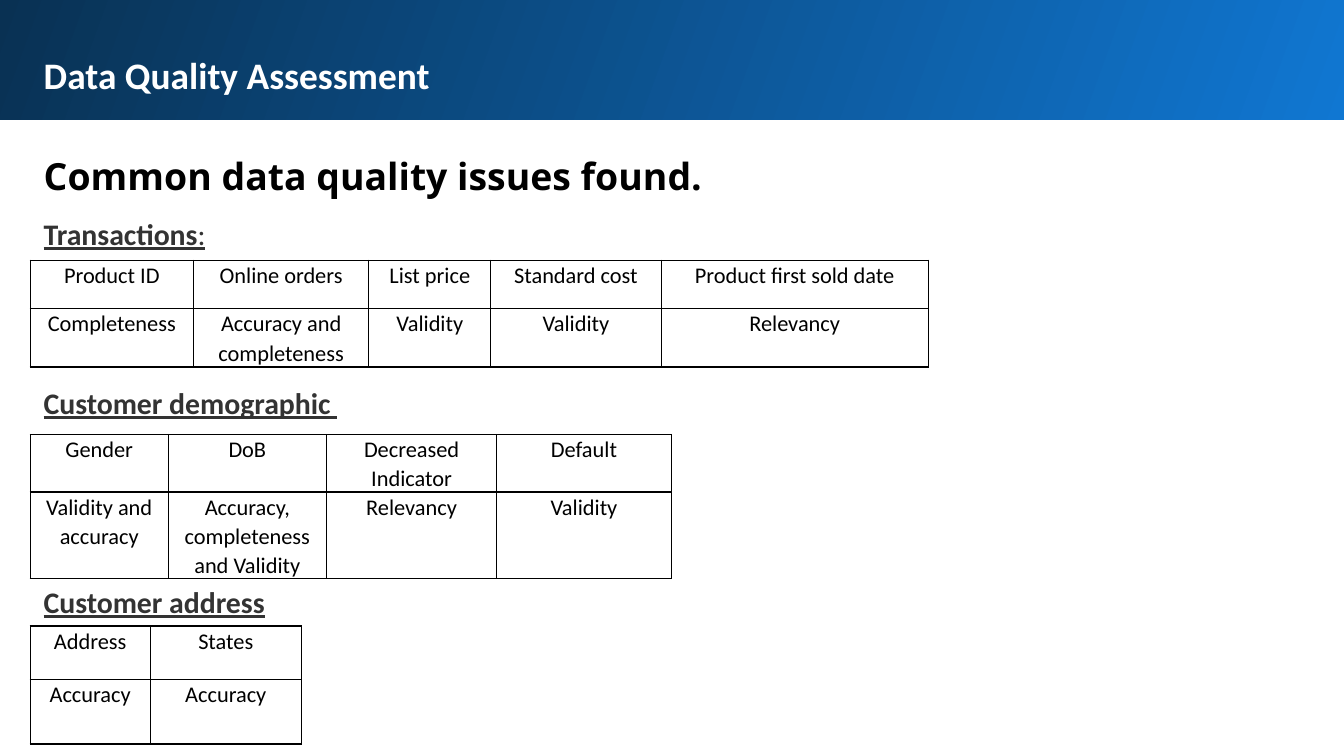
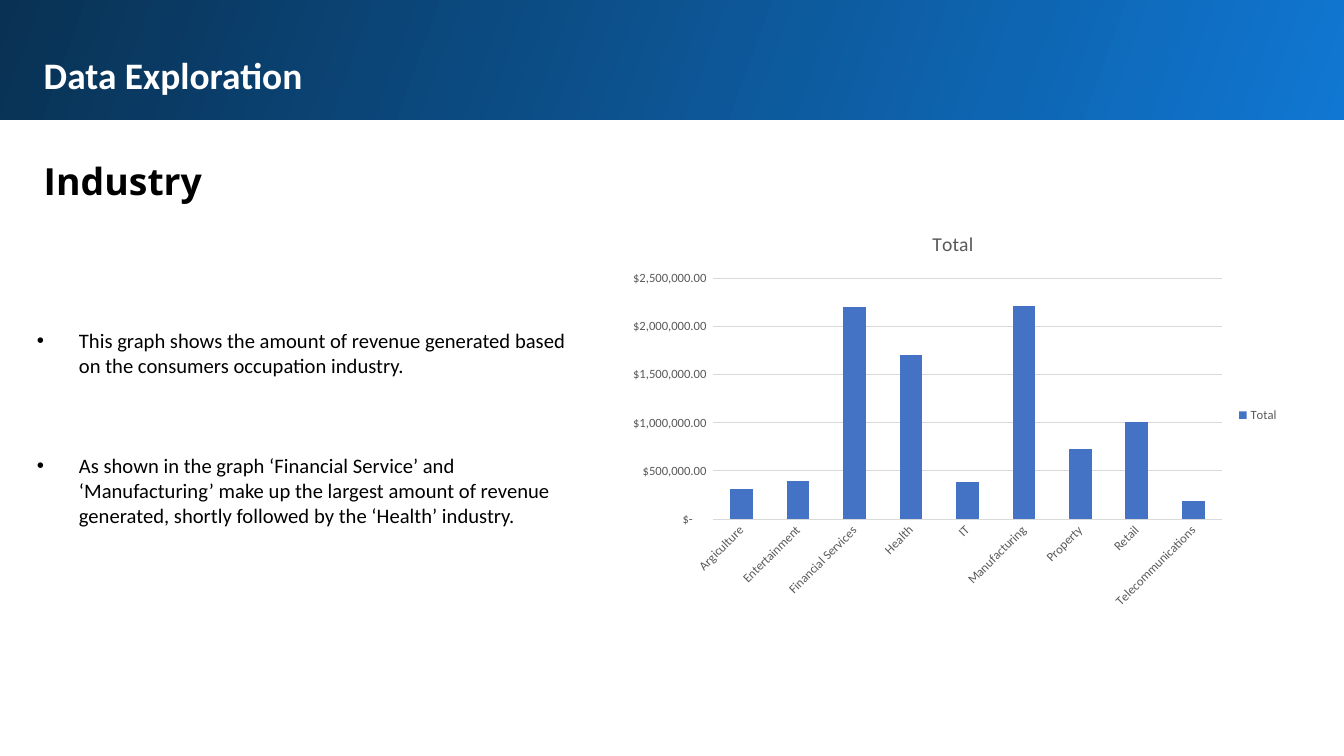
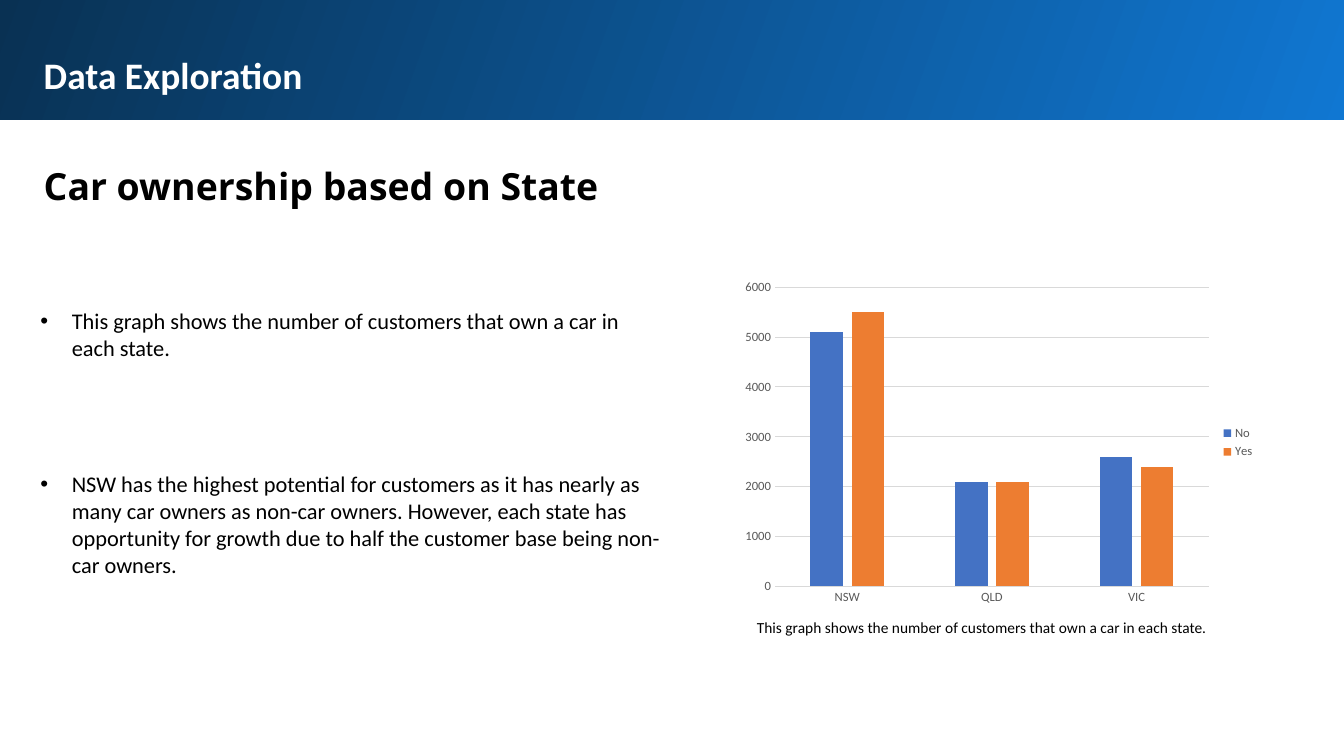
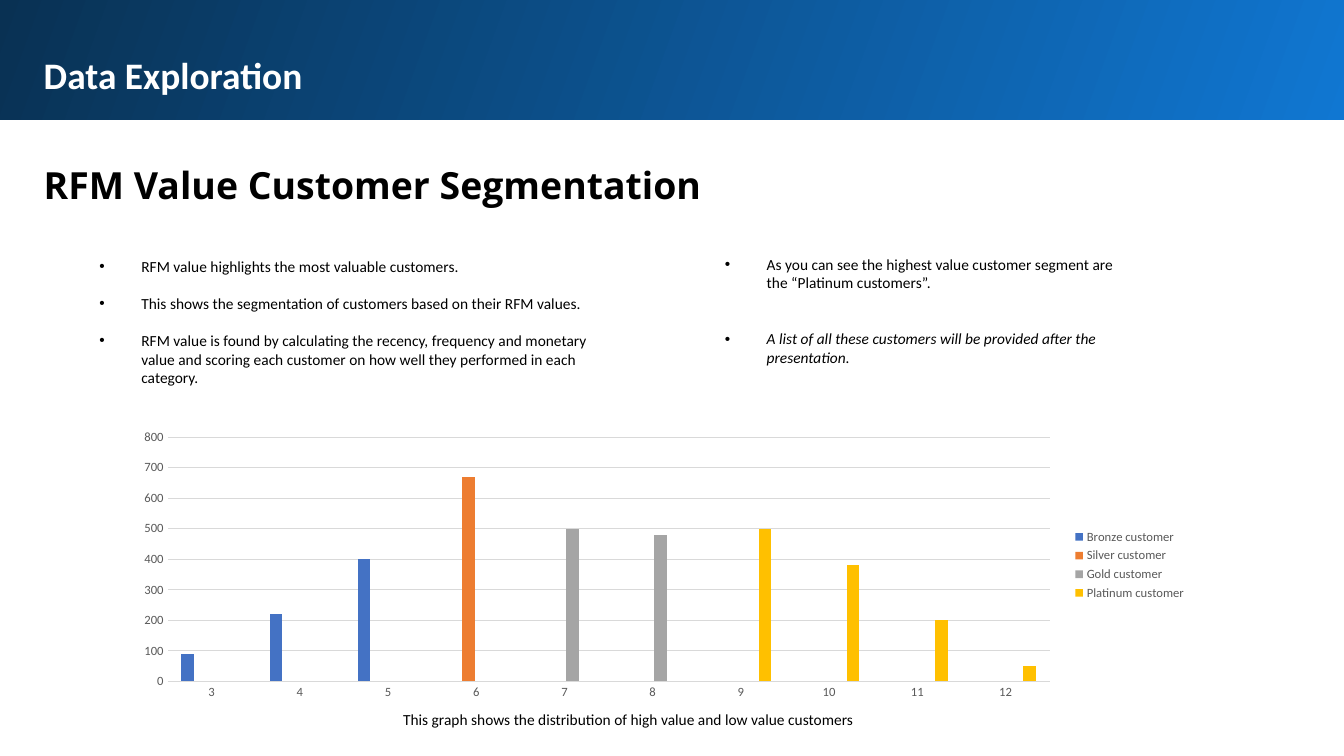
"""Builds a four-slide deck on data quality and data exploration."""
from lxml import etree
from pptx import Presentation
from pptx.chart.data import CategoryChartData
from pptx.dml.color import RGBColor
from pptx.enum.chart import XL_CHART_TYPE, XL_LEGEND_POSITION, XL_TICK_MARK
from pptx.enum.shapes import MSO_SHAPE
from pptx.enum.text import MSO_ANCHOR, MSO_AUTO_SIZE, PP_ALIGN
from pptx.oxml.ns import qn
from pptx.util import Pt

STACKED, CLUSTERED = XL_CHART_TYPE.COLUMN_STACKED, XL_CHART_TYPE.COLUMN_CLUSTERED
LEGEND_RIGHT, NO_TICK = XL_LEGEND_POSITION.RIGHT, XL_TICK_MARK.NONE
RECTANGLE = MSO_SHAPE.RECTANGLE
TOP, MIDDLE = MSO_ANCHOR.TOP, MSO_ANCHOR.MIDDLE
GROW = MSO_AUTO_SIZE.SHAPE_TO_FIT_TEXT
LEFT, CENTER = PP_ALIGN.LEFT, PP_ALIGN.CENTER

COLORS = {
    "band_light": "1077D2", "band_dark": "093153", "white": "FFFFFF",
    "black": "000000", "caption": "333333", "axis": "595959", "grid": "D9D9D9",
    "blue": "4472C4", "orange": "ED7D31", "gray": "A5A5A5", "gold": "FFC000",
}
BODY_FONT, HEADING_FONT = "Calibri", "Open Sans"
MARGIN = 21.6
LINE_HEIGHT = 1.22
DOLLARS = ('_-[$$-409]* #,##0.00_ ;_-[$$-409]* \\-#,##0.00\\ ;'
           '_-[$$-409]* "-"??_ ;_-@_ ')

ISSUES = [
    {"caption": "Transactions", "suffix": ":", "caption_top": 149, "caption_width": 152.6,
     "top": 185.8, "columns": [116.6, 125.3, 87.1, 121.7, 190.8], "rows": [34.6, 41.8],
     "cells": [
         ["Product ID", "Online orders", "List price", "Standard cost",
          "Product first sold date"],
         ["Completeness", "Accuracy and completeness", "Validity", "Validity",
          "Relevancy"]]},
    {"caption": "Customer demographic ", "suffix": "", "caption_top": 270,
     "caption_width": 458.6,
     "top": 310.3, "columns": [98.6, 113, 121.7, 124.6], "rows": [40.3, 60.5],
     "cells": [
         ["Gender", "DoB", "Decreased Indicator", "Default"],
         ["Validity and accuracy", "Accuracy, completeness and Validity", "Relevancy",
          "Validity"]]},
    {"caption": "Customer address", "suffix": "", "caption_top": 411.8,
     "caption_width": 458.6,
     "top": 447.1, "columns": [85.7, 108], "rows": [38.2, 46.1],
     "cells": [["Address", "States"], ["Accuracy", "Accuracy"]]},
]

SLIDES = [
    {"layout": 5, "title": "Data Quality Assessment",
     "heading": "Common data quality issues found.", "heading_top": 95,
     "heading_width": 899.3, "issues": ISSUES},
    {"layout": 1, "title": "Data Exploration", "heading": "Industry",
     "heading_top": 98.6, "heading_width": 899.3,
     "lists": [
         {"box": (MARGIN, 229.7, 396, 151.9), "insets": (4.8, 4.8), "size": 14.7,
          "indent": 30, "gap_lines": 3, "items": [
              "This graph shows the amount of revenue generated based on the consumers "
              "occupation industry.",
              "As shown in the graph ‘Financial Service’ and ‘Manufacturing’ make up the "
              "largest amount of revenue generated, shortly followed by the ‘Health’ "
              "industry."]}],
     "chart": {
         "kind": STACKED, "box": (440.6, 152.6, 480.2, 288), "title": "Total",
         "gap": 150, "overlap": 100, "top": 2500000, "step": 500000,
         "format": DOLLARS, "slanted": True,
         "categories": ["Argiculture", "Entertainment", "Financial Services", "Health",
                        "IT", "Manufacturing", "Property", "Retail",
                        "Telecommunications"],
         "series": [("Total", "blue", [310000, 400000, 2200000, 1700000, 380000,
                                       2210000, 730000, 1010000, 190000])]}},
    {"layout": 1, "title": "Data Exploration", "heading": "Car ownership based on State",
     "heading_top": 102.2, "heading_width": 534.2,
     "lists": [
         {"box": (MARGIN, 216, 458.6, 200.9), "insets": (7.2, 3.6), "size": 16,
          "indent": 22.5, "gap_lines": 4, "items": [
              "This graph shows the number of customers that own a car in each state.",
              "NSW has the highest potential for customers as it has nearly as many car "
              "owners as non-car owners. However, each state has opportunity for growth "
              "due to half the customer base being non-car owners."]}],
     "chart": {
         "kind": CLUSTERED, "box": (524.9, 195.1, 378.7, 241.9),
         "gap": 219, "overlap": -27, "top": 6000, "step": 1000,
         "categories": ["NSW", "QLD", "VIC"],
         "series": [("No", "blue", [5100, 2100, 2600]),
                    ("Yes", "orange", [5500, 2100, 2400])]},
     "note": ("This graph shows the number of customers that own a car in each state.",
              (533.5, 437.8, 337.7, 20.9))},
    {"layout": 3, "title": "Data Exploration",
     "heading": "RFM Value Customer Segmentation",
     "heading_top": 101.5, "heading_width": 534.2,
     "lists": [
         {"box": (66.2, 178.6, 383.8, 129.6), "insets": (4.8, 4.8), "size": 11,
          "indent": 30, "gap_lines": 1, "items": [
              "RFM value highlights the most valuable customers.",
              "This shows the segmentation of customers based on their RFM values.",
              "RFM value is found by calculating the recency, frequency and monetary "
              "value and scoring each customer on how well they performed in each "
              "category."]},
         {"box": (510.5, 178.6, 307.4, 87.1), "insets": (7.2, 3.6), "size": 11,
          "indent": 30, "gap_lines": 2, "italic_last": True, "items": [
              "As you can see the highest value customer segment are the “Platinum "
              "customers”.",
              "A list of all these customers will be provided after the presentation."]}],
     "chart": {
         "kind": CLUSTERED, "box": (87.8, 303.1, 766.8, 200.9),
         "gap": 219, "overlap": -27, "top": 800, "step": 100,
         "categories": [str(score) for score in range(3, 13)],
         "series": [
             ("Bronze customer", "blue", [90, 220, 400] + [None] * 7),
             ("Silver customer", "orange", [None] * 3 + [670] + [None] * 6),
             ("Gold customer", "gray", [None] * 4 + [500, 480] + [None] * 4),
             ("Platinum customer", "gold", [None] * 6 + [500, 380, 200, 50])]},
     "note": ("This graph shows the distribution of high value and low value customers",
              (280.8, 504, 337.7, 20.9))},
]


def rgb(name):
    return RGBColor.from_string(COLORS[name])


def style_font(font, size, color, name=BODY_FONT, bold=False):
    font.size, font.name, font.bold = Pt(size), name, bold
    font.color.rgb = rgb(color)


def place(shape, box):
    shape.left, shape.top, shape.width, shape.height = map(Pt, box)


def write(shape, text, size, color, name=BODY_FONT, bold=False, insets=(7.2, 3.6),
          anchor=TOP):
    frame = shape.text_frame
    frame.text = text
    frame.word_wrap, frame.auto_size, frame.vertical_anchor = True, GROW, anchor
    frame.margin_left = frame.margin_right = Pt(insets[0])
    frame.margin_top = frame.margin_bottom = Pt(insets[1])
    for paragraph in frame.paragraphs:
        paragraph.alignment = LEFT
        for run in paragraph.runs:
            style_font(run.font, size, color, name, bold)
    return frame


def add_text(slide, box, *args, **kwargs):
    return write(slide.shapes.add_textbox(*map(Pt, box)), *args, **kwargs)


def add_header(slide, content):
    title = slide.shapes.title
    band = slide.shapes.add_shape(RECTANGLE, *map(Pt, (-1.4, -2.2, 964.8, 87.8)))
    band.shadow.inherit = False
    band.line.fill.background()
    band.fill.gradient()
    band.fill.gradient_angle = 160
    for stop, color in zip(band.fill.gradient_stops, ("band_light", "band_dark")):
        stop.color.rgb = rgb(color)
    title.element.addprevious(band.element)
    place(title, (MARGIN, 27.4, 899.3, 51.8))
    write(title, content["title"], 26.7, "white", bold=True, insets=(9.6, 9.6))
    box = (MARGIN, content["heading_top"], content["heading_width"], 54)
    heading = add_text(slide, box, content["heading"], 26.7, "black", HEADING_FONT, True,
                       (9.6, 9.6))
    heading.paragraphs[0].line_spacing = 1.15


def fill_list(body, content):
    place(body, content["box"])
    size, indent = content["size"], Pt(content["indent"])
    frame = write(body, "\n".join(content["items"]), size, "black",
                  insets=content["insets"])
    for index, paragraph in enumerate(frame.paragraphs):
        gap = content["gap_lines"] * size * LINE_HEIGHT if index else 0
        paragraph.space_before = Pt(round(gap, 1))
        properties = paragraph._p.get_or_add_pPr()
        properties.set("marL", str(indent))
        properties.set("indent", str(-indent))
    if content.get("italic_last"):
        frame.paragraphs[-1].runs[0].font.italic = True


def add_borders(cell):
    properties = cell._tc.get_or_add_tcPr()
    for side in ("a:lnL", "a:lnR", "a:lnT", "a:lnB"):
        line = etree.SubElement(properties, qn(side), w=str(Pt(1)))
        fill = etree.SubElement(line, qn("a:solidFill"))
        etree.SubElement(fill, qn("a:srgbClr"), val=COLORS["black"])


def add_issue(slide, issue):
    box = (MARGIN, issue["caption_top"], issue["caption_width"], 35.3)
    caption = add_text(slide, box, issue["caption"], 21.3, "caption", bold=True,
                       insets=(9.6, 4.8), anchor=MIDDLE)
    if issue["suffix"]:
        suffix = caption.paragraphs[0].add_run()
        suffix.text = issue["suffix"]
        style_font(suffix.font, 21.3, "caption")
    for run in caption.paragraphs[0].runs:
        run.font.underline = True

    columns, rows = issue["columns"], issue["rows"]
    box = (MARGIN, issue["top"], sum(columns), sum(rows))
    table = slide.shapes.add_table(len(rows), len(columns), *map(Pt, box)).table
    table.first_row = table.horz_banding = False
    for column, width in zip(table.columns, columns):
        column.width = Pt(width)
    for row, height, texts in zip(table.rows, rows, issue["cells"]):
        row.height = Pt(height)
        for cell, text in zip(row.cells, texts):
            cell.text = text
            cell.margin_left = cell.margin_right = Pt(7.2)
            cell.margin_top = cell.margin_bottom = 0
            add_borders(cell)
            cell.fill.background()
            paragraph = cell.text_frame.paragraphs[0]
            paragraph.alignment, paragraph.line_spacing = CENTER, 1.07
            paragraph.space_after = Pt(8)
            style_font(paragraph.runs[0].font, 16, "black")


def add_column_chart(slide, content):
    data = CategoryChartData()
    data.categories = content["categories"]
    for name, _, values in content["series"]:
        data.add_series(name, values)
    chart = slide.shapes.add_chart(content["kind"], *map(Pt, content["box"]), data).chart
    style_font(chart.font, 10, "black")

    chart.has_title = "title" in content
    if chart.has_title:
        frame = chart.chart_title.text_frame
        frame.text = content["title"]
        style_font(frame.paragraphs[0].runs[0].font, 14, "axis")
    chart.has_legend = True
    chart.legend.position, chart.legend.include_in_layout = LEGEND_RIGHT, False
    style_font(chart.legend.font, 9, "axis")

    plot = chart.plots[0]
    plot.vary_by_categories = False
    plot.gap_width, plot.overlap = content["gap"], content["overlap"]
    for series, (_, color, _) in zip(plot.series, content["series"]):
        series.format.fill.solid()
        series.format.fill.fore_color.rgb = rgb(color)
        series.invert_if_negative = False

    categories, amounts = chart.category_axis, chart.value_axis
    for axis in (categories, amounts):
        axis.major_tick_mark = axis.minor_tick_mark = NO_TICK
        style_font(axis.tick_labels.font, 9, "axis")
    amounts.minimum_scale, amounts.maximum_scale = 0, content["top"]
    amounts.major_unit = content["step"]
    amounts.format.line.fill.background()
    amounts.has_major_gridlines = True
    for line in (categories.format.line, amounts.major_gridlines.format.line):
        line.color.rgb, line.width = rgb("grid"), Pt(0.75)
    if "format" in content:
        amounts.tick_labels.number_format = content["format"]
        amounts.tick_labels.number_format_is_linked = False
    if content.get("slanted"):
        label_body = categories._element.find(qn("c:txPr")).find(qn("a:bodyPr"))
        label_body.set("rot", "-2700000")
        label_body.set("vert", "horz")


deck = Presentation()
deck.slide_width, deck.slide_height = Pt(960), Pt(540)
for content in SLIDES:
    slide = deck.slides.add_slide(deck.slide_layouts[content["layout"]])
    bodies = list(slide.placeholders)[1:]
    add_header(slide, content)
    for issue in content.get("issues", []):
        add_issue(slide, issue)
    for body, bullets in zip(bodies, content.get("lists", [])):
        fill_list(body, bullets)
    if "chart" in content:
        add_column_chart(slide, content["chart"])
    if "note" in content:
        text, box = content["note"]
        add_text(slide, box, text, 11, "black")
deck.save("out.pptx")
